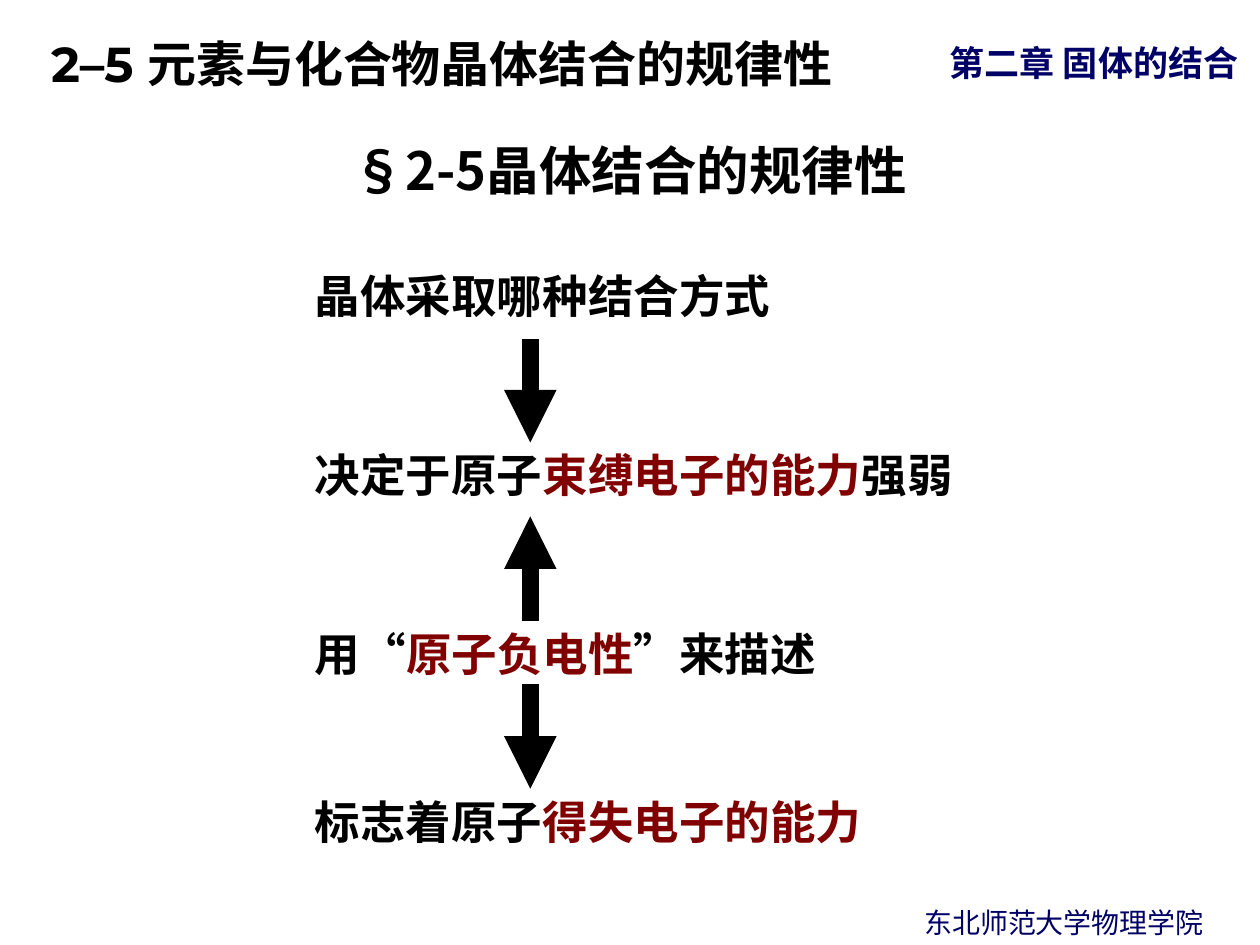
from lxml import etree
from pptx import Presentation
from pptx.dml.color import RGBColor
from pptx.enum.shapes import MSO_CONNECTOR
from pptx.enum.text import MSO_ANCHOR, PP_ALIGN
from pptx.oxml.ns import qn
from pptx.util import Cm, Pt

STRAIGHT = MSO_CONNECTOR.STRAIGHT
TOP, MIDDLE, BOTTOM = MSO_ANCHOR.TOP, MSO_ANCHOR.MIDDLE, MSO_ANCHOR.BOTTOM
LEFT, CENTER = PP_ALIGN.LEFT, PP_ALIGN.CENTER

CJK_FONT = "Noto Sans CJK SC"
BLACK, NAVY, MAROON = "000000", "000066", "800000"


def color(hex_code):
    return RGBColor.from_string(hex_code)


def add_span(para, text, size, hex_code, bold, font):
    span = para.add_run()
    span.text = text
    span.font.size = Pt(size)
    span.font.bold = bold
    span.font.color.rgb = color(hex_code)
    span.font.name = font
    east_asian = etree.SubElement(span._r.get_or_add_rPr(), qn("a:ea"))
    east_asian.set("typeface", CJK_FONT)


def add_text(page, spans, left, top, width, height, size=26, bold=True,
             font=CJK_FONT, align=LEFT, anchor=TOP, line_spacing=1.0,
             inset=0.25):
    """Add a one-paragraph box from (text, colour) spans; lengths in cm."""
    box = page.shapes.add_textbox(Cm(left), Cm(top), Cm(width), Cm(height))
    frame = box.text_frame
    frame.word_wrap = True
    frame.vertical_anchor = anchor
    frame.margin_left = Cm(inset)
    para = frame.paragraphs[0]
    para.alignment = align
    para.line_spacing = line_spacing
    for text, hex_code in spans:
        add_span(para, text, size, hex_code, bold, font)


def add_arrow(page, x, start, end):
    """Add a thick vertical arrow pointing at end."""
    arrow = page.shapes.add_connector(STRAIGHT, Cm(x), Cm(start), Cm(x), Cm(end))
    arrow.line.color.rgb = color(BLACK)
    arrow.line.width = Pt(10)
    head = etree.SubElement(arrow.line._get_or_add_ln(), qn("a:tailEnd"))
    head.set("type", "triangle")
    etree.SubElement(arrow._element.spPr, qn("a:effectLst"))


def main():
    deck = Presentation()
    deck.slide_width, deck.slide_height = Cm(25.4), Cm(19.05)
    page = deck.slides.add_slide(deck.slide_layouts[6])

    # Running header and footer
    add_text(page, [("第二章 固体的结合", NAVY)], 18.9, 0.71, 6.5, 1.1, size=20)
    add_text(page, [("2–5 元素与化合物晶体结合的规律性", BLACK)],
             0, 0.25, 20.75, 1.75, size=28, font="Montserrat",
             anchor=MIDDLE, line_spacing=1.25, inset=1.03)
    add_text(page, [("东北师范大学物理学院", NAVY)], 17.5, 18.14, 7.9, 0.93,
             size=16, bold=False, align=CENTER)

    # Section title
    add_text(page, [("§2-5晶体结合的规律性", BLACK)], 1.27, 2.31, 22.86, 1.88,
             size=30, align=CENTER, anchor=BOTTOM, line_spacing=0.9)

    # Chain of statements
    statements = [
        (5.28, 9.75, [("晶体采取哪种结合方式", BLACK)]),
        (8.89, 13.95, [("决定于原子", BLACK), ("束缚电子的能力", MAROON),
                       ("强弱", BLACK)]),
        (12.5, 12.85, [("用“", BLACK), ("原子负电性", MAROON),
                       ("”来描述", BLACK)]),
        (15.88, 11.65, [("标志着原子", BLACK), ("得失电子的能力", MAROON)]),
    ]
    for top, width, spans in statements:
        add_text(page, spans, 6.1, top, width, 1.37)

    # Arrows between the statements
    for start, end in [(6.83, 8.92), (12.52, 10.41), (13.79, 15.9)]:
        add_arrow(page, 10.69, start, end)

    deck.save("out.pptx")


if __name__ == "__main__":
    main()
